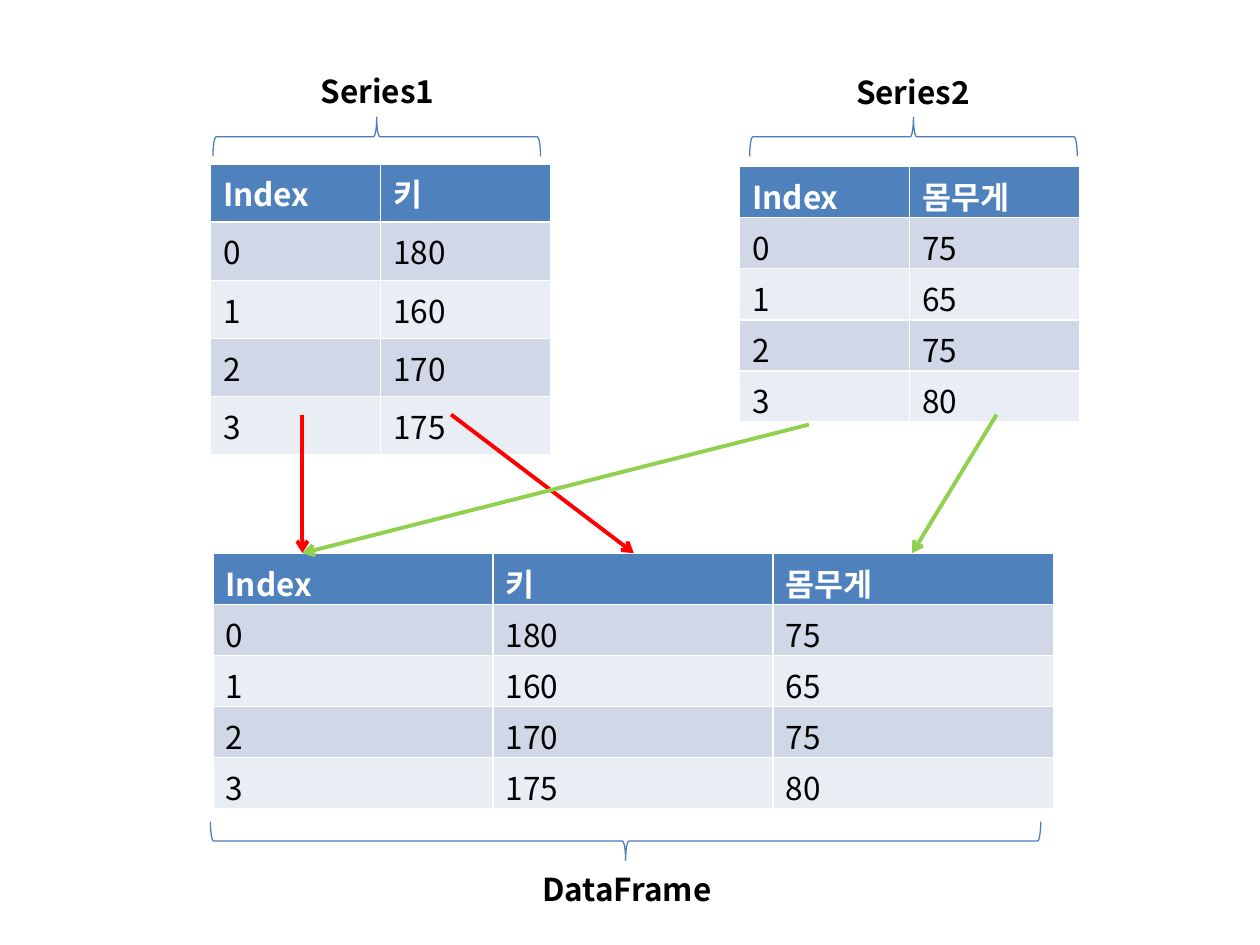
import lxml.etree
import pptx
import pptx.dml.color
import pptx.enum.shapes
import pptx.enum.text
import pptx.oxml.ns
import pptx.util
from pptx.util import Inches

FONT = "Noto Sans CJK KR"
BLUE, BRACE_BLUE = "4F81BD", "4B7EBC"
BANDS = ("D0D8E8", "E9EDF4")
RED, GREEN = "FF0000", "92D050"
BLACK, WHITE = "000000", "FFFFFF"

INDEX = ["Index", "0", "1", "2", "3"]
HEIGHTS = ["키", "180", "160", "170", "175"]
WEIGHTS = ["몸무게", "75", "65", "75", "80"]


def color(hex_string):
    return pptx.dml.color.RGBColor.from_string(hex_string)


def qualified(tag):
    return pptx.oxml.ns.qn(tag)


def style_paragraph(para, hex_string, bold):
    para.font.name = FONT
    para.font.size = pptx.util.Pt(18)
    para.font.bold = bold
    para.font.color.rgb = color(hex_string)
    properties = para._p.pPr.find(qualified("a:defRPr"))
    lxml.etree.SubElement(properties, qualified("a:ea"), typeface=FONT)


def add_data_table(page, left, top, width, columns):
    row_count = len(columns[0])
    table = page.shapes.add_table(
        row_count, len(columns),
        Inches(left), Inches(top), Inches(width), Inches(2.03),
    ).table
    for column_number, values in enumerate(columns):
        for row_number, value in enumerate(values):
            header = row_number == 0
            cell = table.cell(row_number, column_number)
            cell.text = value
            cell.fill.solid()
            fill = BLUE if header else BANDS[(row_number - 1) % 2]
            cell.fill.fore_color.rgb = color(fill)
            style_paragraph(cell.text_frame.paragraphs[0], WHITE if header else BLACK, header)


def add_brace(page, left, top, length, rotation):
    depth = 0.31
    brace = page.shapes.add_shape(
        pptx.enum.shapes.MSO_SHAPE.RIGHT_BRACE,
        Inches(left + (length - depth) / 2), Inches(top - (length - depth) / 2),
        Inches(depth), Inches(length),
    )
    brace.rotation = rotation
    brace.shadow.inherit = False
    brace.fill.background()
    brace.line.color.rgb = color(BRACE_BLUE)
    brace.line.width = pptx.util.Pt(0.75)


def add_label(page, left, top, text):
    box = page.shapes.add_textbox(Inches(left), Inches(top), Inches(2.05), Inches(0.4))
    box.text_frame.word_wrap = True
    box.text_frame.auto_size = pptx.enum.text.MSO_AUTO_SIZE.SHAPE_TO_FIT_TEXT
    para = box.text_frame.paragraphs[0]
    para.text = text
    para.alignment = pptx.enum.text.PP_ALIGN.CENTER
    style_paragraph(para, BLACK, True)


def add_arrow(page, start, end, hex_string):
    arrow = page.shapes.add_connector(
        pptx.enum.shapes.MSO_CONNECTOR.STRAIGHT,
        *(Inches(value) for value in (*start, *end)),
    )
    arrow.line.color.rgb = color(hex_string)
    arrow.line.width = pptx.util.Pt(2.25)
    line = arrow.line._get_or_add_ln()
    lxml.etree.SubElement(line, qualified("a:tailEnd"), type="arrow")
    lxml.etree.SubElement(arrow._element.spPr, qualified("a:effectLst"))


def add_series(page, left, top, values, brace_left, label_left, label_top, label):
    add_data_table(page, left, top, 2.7, [INDEX, values])
    add_brace(page, brace_left, 0.93, 2.6, 270)
    add_label(page, label_left, label_top, label)


def add_data_frame(page, left, top):
    add_data_table(page, left, top, 6.67, [INDEX, HEIGHTS, WEIGHTS])
    add_brace(page, left - 0.02, top + 2.13, 6.59, 90)
    add_label(page, left + 2.26, top + 2.47, "DataFrame")


def add_merge_arrows(page, target_top):
    for start, target, hex_string in (
        ((2.4, 3.29), 2.4, RED),
        ((3.58, 3.29), 5.03, RED),
        ((6.42, 3.37), 2.4, GREEN),
        ((7.91, 3.29), 7.24, GREEN),
    ):
        add_arrow(page, start, (target, target_top), hex_string)


def main():
    deck = pptx.Presentation()
    deck.slide_width = Inches(10)
    deck.slide_height = Inches(7.5)
    page = deck.slides.add_slide(deck.slide_layouts.get_by_name("Blank"))
    add_series(page, 1.67, 1.3, HEIGHTS, 1.69, 1.97, 0.52, "Series1")
    add_series(page, 5.87, 1.32, WEIGHTS, 5.95, 6.22, 0.53, "Series2")
    add_data_frame(page, 1.69, 4.39)
    add_merge_arrows(page, 4.39)
    deck.save("out.pptx")


if __name__ == "__main__":
    main()
